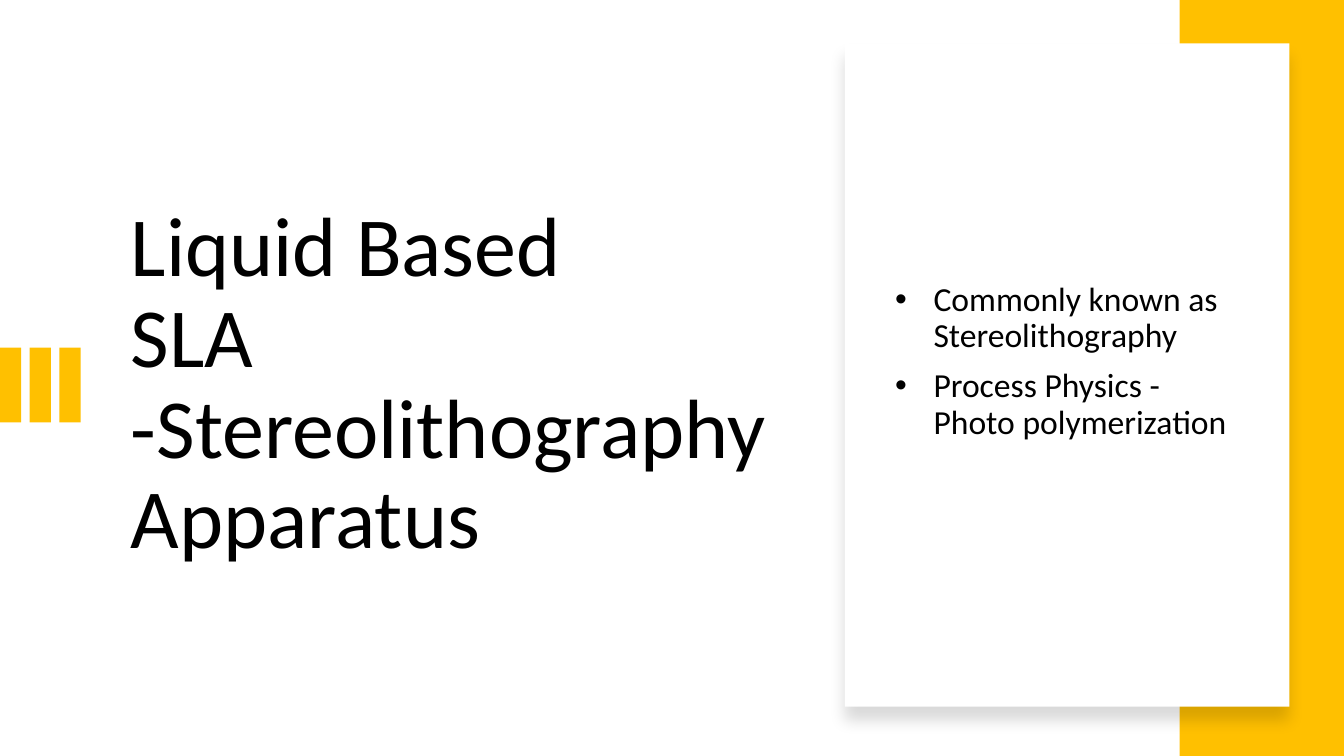
from dataclasses import dataclass

import pptx
import pptx.dml.color
import pptx.enum.shapes
import pptx.enum.text
import pptx.oxml
import pptx.oxml.ns
import pptx.util
from lxml import etree

# The slide is a grid of 100 columns by 100 rows
WIDTH, HEIGHT = pptx.util.Inches(13.33), pptx.util.Inches(7.5)
GOLD, WHITE, BLACK = "FFC000", "FFFFFF", "000000"
FONT = "Calibri"


@dataclass(frozen=True)
class Area:
    col: float
    row: float
    cols: float
    rows: float

    def emu(self) -> tuple[int, int, int, int]:
        return (round(self.col * WIDTH / 100), round(self.row * HEIGHT / 100),
                round(self.cols * WIDTH / 100), round(self.rows * HEIGHT / 100))


@dataclass(frozen=True)
class TextBlock:
    area: Area
    lines: tuple[str, ...]
    size: int
    bulleted: bool = False
    bottom_inset: float = 0.05


def color(value: str) -> pptx.dml.color.RGBColor:
    return pptx.dml.color.RGBColor.from_string(value)


def add_rect(shapes, area: Area, fill: str):
    s = shapes.add_shape(pptx.enum.shapes.MSO_SHAPE.RECTANGLE, *area.emu())
    s.shadow.inherit = False
    s.fill.solid()
    s.fill.fore_color.rgb = color(fill)
    s.line.fill.background()
    return s


def add_soft_shadow(s) -> None:
    effects = s._element.spPr.find(pptx.oxml.ns.qn("a:effectLst"))
    effects.append(pptx.oxml.parse_xml(
        f'<a:outerShdw {pptx.oxml.ns.nsdecls("a")} blurRad="{pptx.util.Pt(11)}" '
        f'dist="{pptx.util.Pt(10)}" dir="5400000" algn="t" rotWithShape="0">'
        f'<a:srgbClr val="{BLACK}"><a:alpha val="15000"/></a:srgbClr></a:outerShdw>'))


def add_bullet(p) -> None:
    indent = pptx.util.Inches(0.38)
    pPr = p._p.get_or_add_pPr()
    pPr.set("marL", str(indent))
    pPr.set("indent", str(-indent))
    etree.SubElement(pPr, pptx.oxml.ns.qn("a:buFont"), typeface="Arial")
    etree.SubElement(pPr, pptx.oxml.ns.qn("a:buChar"), char="•")


def add_text(shapes, block: TextBlock) -> None:
    tf = shapes.add_textbox(*block.area.emu()).text_frame
    tf.word_wrap = True
    tf.vertical_anchor = pptx.enum.text.MSO_ANCHOR.MIDDLE
    tf.margin_bottom = pptx.util.Inches(block.bottom_inset)
    tf.text = "\n".join(block.lines)
    for i, p in enumerate(tf.paragraphs):
        if block.bulleted:
            add_bullet(p)
        p.line_spacing = 0.9
        if i:
            p.space_before = pptx.util.Pt(10)
        for r in p.runs:
            r.font.name = FONT
            r.font.size = pptx.util.Pt(block.size)
            r.font.color.rgb = color(BLACK)


TITLE = TextBlock(Area(9, 16.67, 55.5, 68.67),
                  ("Liquid Based \vSLA -Stereolithography Apparatus",), 60)
POINTS = TextBlock(Area(65.87, 24.67, 27.08, 53.07),
                   ("Commonly known as Stereolithography",
                    "Process Physics - Photo polymerization"),
                   24, bulleted=True, bottom_inset=0.55)
BAND = Area(87.77, 0, 12.23, 100)
CARD = Area(62.87, 5.73, 33.08, 87.73)
BAR_COUNT, BAR_STEP = 3, 2.21


def main() -> None:
    prs = pptx.Presentation()
    prs.slide_width, prs.slide_height = WIDTH, HEIGHT
    shapes = prs.slides.add_slide(prs.slide_layouts[6]).shapes

    # Title
    add_text(shapes, TITLE)

    # Accent bars at the left edge
    bars = shapes.add_group_shape()
    for i in range(BAR_COUNT):
        add_rect(bars.shapes, Area(i * BAR_STEP, 46, 1.58, 9.87), GOLD)

    # Gold band and the card with the key points
    add_rect(shapes, BAND, GOLD)
    add_soft_shadow(add_rect(shapes, CARD, WHITE))
    add_text(shapes, POINTS)

    prs.save("out.pptx")


if __name__ == "__main__":
    main()
